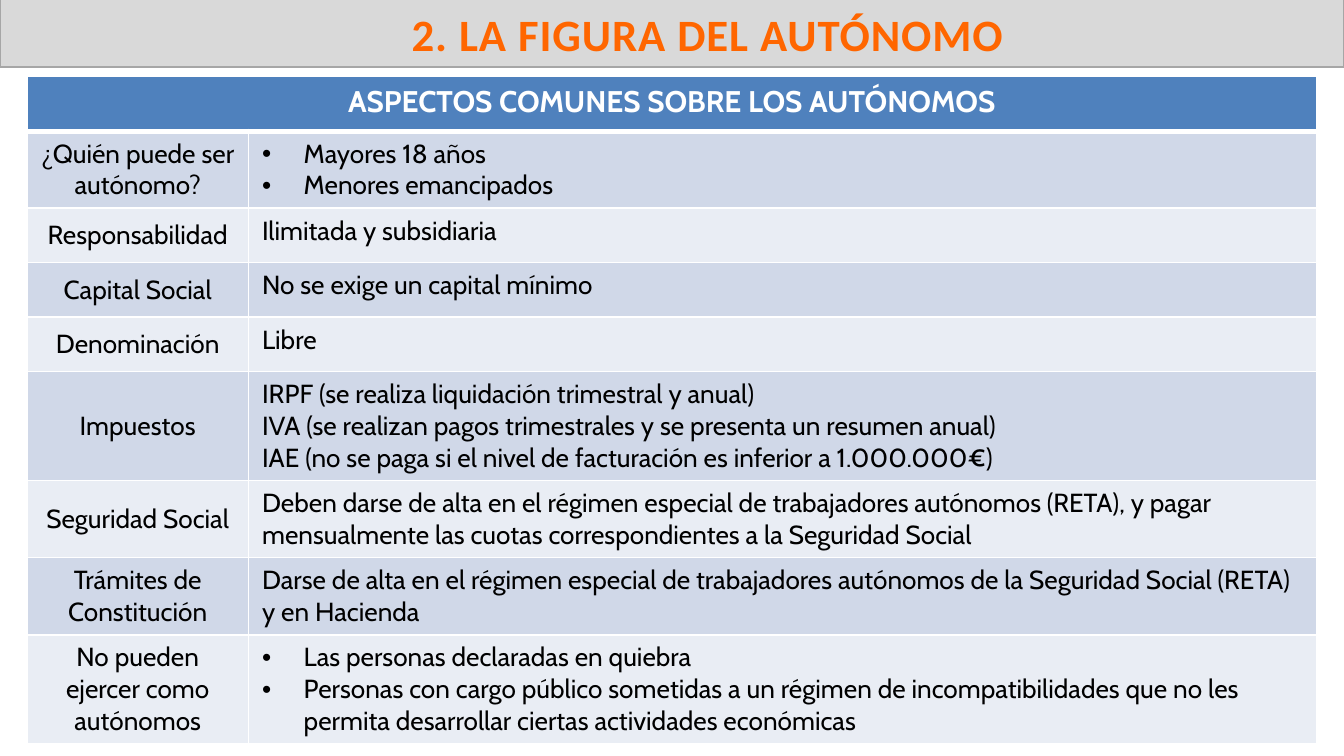
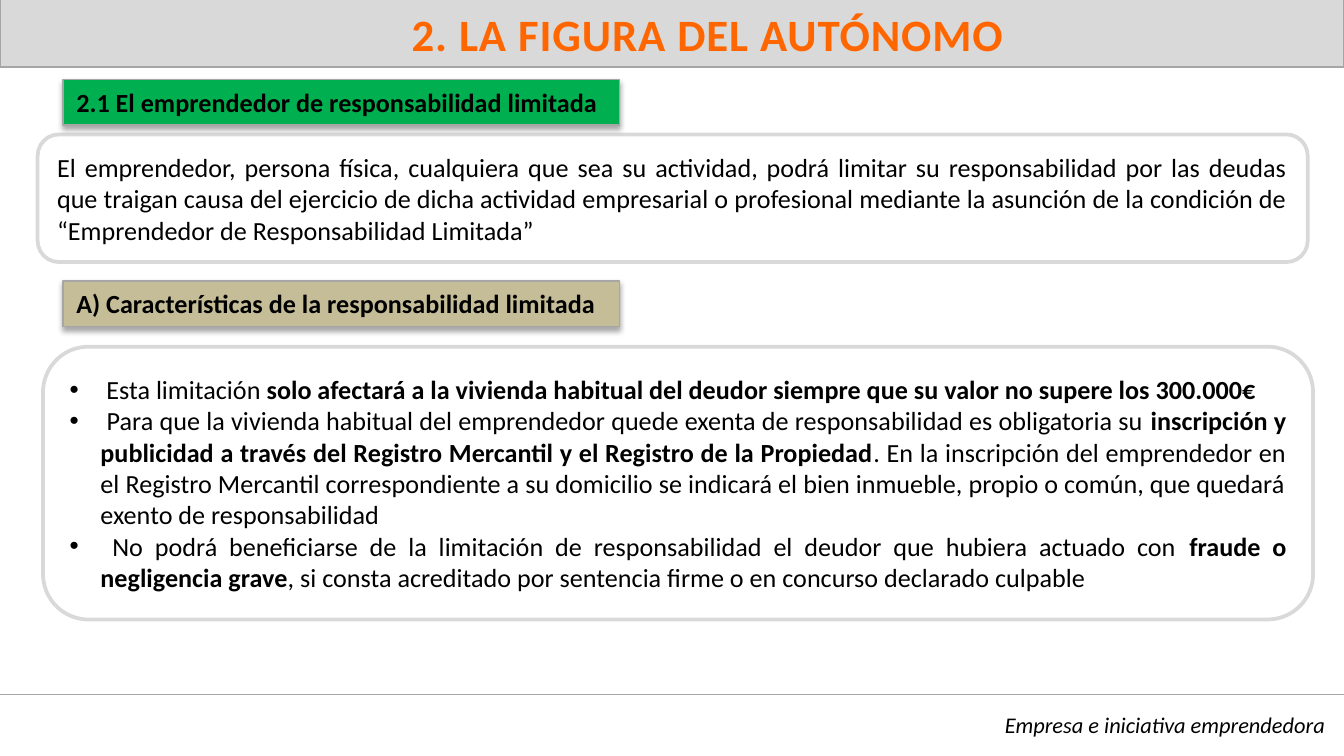
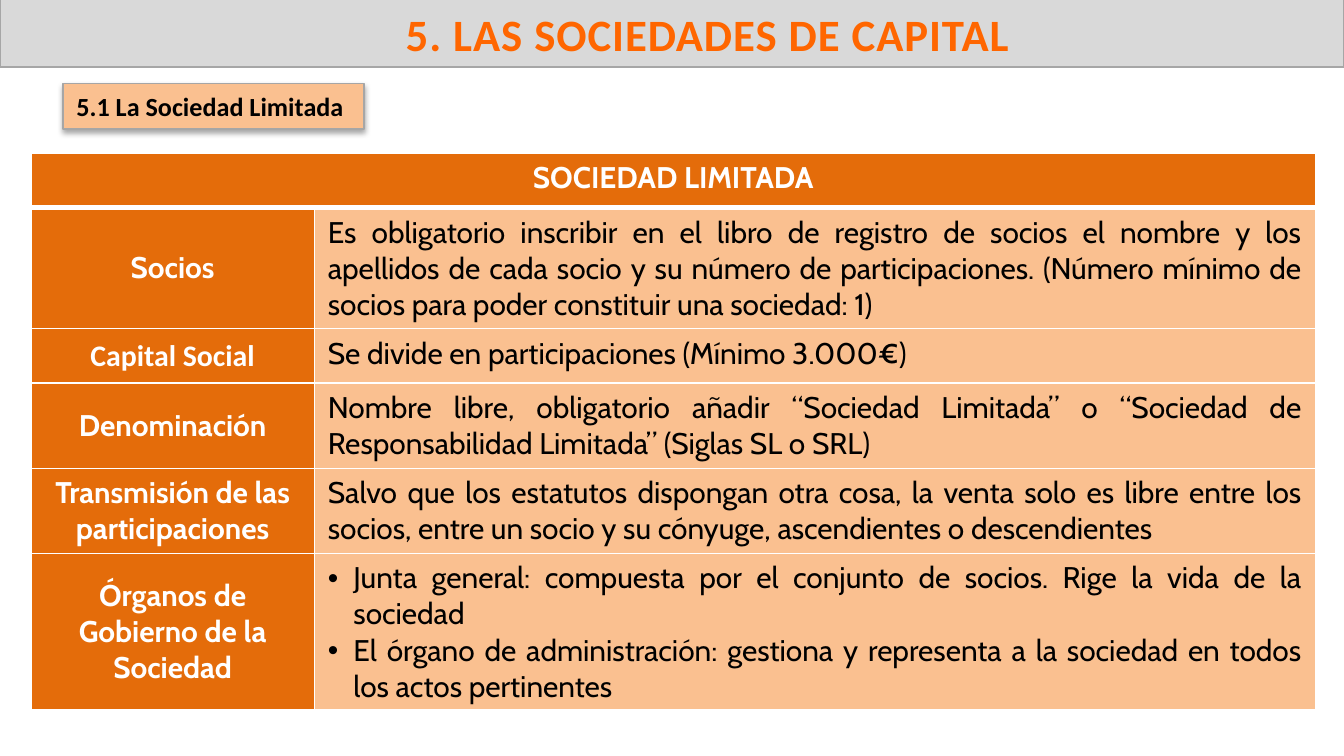
import pptx
import pptx.util
import pptx.dml.color
import pptx.enum.text
import pptx.enum.shapes
import pptx.oxml
import pptx.oxml.ns

Inches, Pt = pptx.util.Inches, pptx.util.Pt
ALIGN, ANCHOR = pptx.enum.text.PP_ALIGN, pptx.enum.text.MSO_ANCHOR
AUTO_SIZE = pptx.enum.text.MSO_AUTO_SIZE
SHAPE = pptx.enum.shapes.MSO_SHAPE

COLORS = {
    "band": "D9D9D9", "edge": "A6A6A6", "title": "FF6600", "outline": "101A26",
    "black": "000000", "white": "FFFFFF", "green": "00B050", "tan": "C4BD97",
    "peach": "FAC090", "orange": "E46C0A", "blue": "4F81BD",
    "blue_mid": "D0D8E8", "blue_pale": "E9EDF4",
}
SLIDE_WIDTH = 10
SLIDE_HEIGHT = SLIDE_WIDTH * 9 / 16
ROW_HEIGHT = Pt(29.2)  # minimum: rows grow with their text
BODY = {"size": Pt(14), "name": "Calibri", "color": "black"}

# Content. Text between asterisks is bold; a leading bullet marks a list item.
SELF_EMPLOYED = "2. LA FIGURA DEL AUTÓNOMO"
COMPANIES = "5. LAS SOCIEDADES DE CAPITAL"
FOOTER = "Empresa e iniciativa emprendedora"

SELF_EMPLOYED_TABLE = {
    "box": (0.2, 0.57, 9.61, 4.92), "columns": (1.65, 7.95), "indent": 0.31,
    "header": "ASPECTOS COMUNES SOBRE LOS AUTÓNOMOS", "header_fill": "blue",
    "label_fills": ("blue_mid", "blue_pale"), "text_fills": ("blue_mid", "blue_pale"),
    "label_font": {"size": Pt(14), "name": "Cabin", "color": "black", "bold": False},
    "text_font": {"size": Pt(14), "name": "Cabin", "color": "black", "bold": False},
    "align": ALIGN.LEFT,
    "rows": [
        ("¿Quién puede ser autónomo?", ["•Mayores 18 años", "•Menores emancipados"]),
        ("Responsabilidad", ["Ilimitada y subsidiaria"]),
        ("Capital Social", ["No se exige un capital mínimo"]),
        ("Denominación", ["Libre"]),
        ("Impuestos", [
            "IRPF (se realiza liquidación trimestral y anual)",
            "IVA (se realizan pagos trimestrales y se presenta un resumen anual)",
            "IAE (no se paga si el nivel de facturación es inferior a 1.000.000€)"]),
        ("Seguridad Social", [
            "Deben darse de alta en el régimen especial de trabajadores autónomos (RETA), "
            "y pagar mensualmente las cuotas correspondientes a la Seguridad Social"]),
        ("Trámites de Constitución", [
            "Darse de alta en el régimen especial de trabajadores autónomos "
            "de la Seguridad Social (RETA) y en Hacienda"]),
        ("No pueden ejercer como autónomos", [
            "•Las personas declaradas en quiebra",
            "•Personas con cargo público sometidas a un régimen de incompatibilidades "
            "que no les permita desarrollar ciertas actividades económicas"]),
    ],
}

LIMITED_COMPANY_TABLE = {
    "box": (0.23, 1.14, 9.56, 4.14), "columns": (2.11, 7.45), "indent": 0.19,
    "header": "SOCIEDAD LIMITADA", "header_fill": "orange",
    "label_fills": ("orange",), "text_fills": ("peach",),
    "label_font": {"size": Pt(16), "name": "Cabin", "color": "white", "bold": True},
    "text_font": {"size": Pt(16), "name": "Cabin", "color": "black", "bold": False},
    "label_typefaces": {"Capital Social": "Calibri"},
    "align": ALIGN.JUSTIFY,
    "rows": [
        ("Socios", [
            "Es obligatorio inscribir en el libro de registro de socios el nombre y los "
            "apellidos de cada socio y su número de participaciones. (Número mínimo de "
            "socios para poder constituir una sociedad: 1)"]),
        ("Capital Social", ["Se divide en participaciones (Mínimo 3.000€)"]),
        ("Denominación", [
            "Nombre libre, obligatorio añadir “Sociedad Limitada” o “Sociedad de "
            "Responsabilidad Limitada” (Siglas SL o SRL)"]),
        ("Transmisión de las participaciones", [
            "Salvo que los estatutos dispongan otra cosa, la venta solo es libre entre los "
            "socios, entre un socio y su cónyuge, ascendientes o descendientes"]),
        ("Órganos de Gobierno de la Sociedad", [
            "•Junta general: compuesta por el conjunto de socios. Rige la vida de la sociedad",
            "•El órgano de administración: gestiona y representa a la sociedad en todos "
            "los actos pertinentes"]),
    ],
}

LIMITED_LIABILITY_PANELS = [
    ((0.28, 1, 9.45, 0.95), [
        "El emprendedor, persona física, cualquiera que sea su actividad, podrá limitar su "
        "responsabilidad por las deudas que traigan causa del ejercicio de dicha actividad "
        "empresarial o profesional mediante la asunción de la condición de “Emprendedor de "
        "Responsabilidad Limitada”"]),
    ((0.32, 2.58, 9.45, 2.03), [
        "• Esta limitación *solo afectará a la vivienda habitual del deudor siempre que su "
        "valor no supere los 300.000€*",
        "• Para que la vivienda habitual del emprendedor quede exenta de responsabilidad es "
        "obligatoria su *inscripción y publicidad a través del Registro Mercantil y el "
        "Registro de la Propiedad*. En la inscripción del emprendedor en el Registro Mercantil "
        "correspondiente a su domicilio se indicará el bien inmueble, propio o común, que "
        "quedará exento de responsabilidad",
        "• No podrá beneficiarse de la limitación de responsabilidad el deudor que hubiera "
        "actuado con *fraude o negligencia grave*, si consta acreditado por sentencia firme o "
        "en concurso declarado culpable"]),
]
LIMITED_LIABILITY_LABELS = [
    ("2.1 El emprendedor de responsabilidad limitada", (0.47, 0.59, 4.14, 0.34), "green"),
    ("A) Características de la responsabilidad limitada", (0.47, 2.09, 4.14, 0.34), "tan"),
]
LIMITED_COMPANY_LABEL = ("5.1 La Sociedad Limitada", (0.47, 0.62, 2.24, 0.34), "peach")


def rgb(name):
    """Return the named colour."""
    return pptx.dml.color.RGBColor.from_string(COLORS[name])


def box_lengths(box):
    """Turn a box in inches into lengths."""
    return [Inches(value) for value in box]


def element(tag, parent, **attributes):
    """Append a drawing element to its parent."""
    child = pptx.oxml.parse_xml(f"<a:{tag} {pptx.oxml.ns.nsdecls('a')}/>")
    for key, value in attributes.items():
        child.set(key, str(value))
    parent.append(child)
    return child


def apply(target, values):
    """Set every attribute of a dict on the target."""
    for key, value in values.items():
        setattr(target, key, value)


def paint(shape, fill=None, line="edge", width=0.75):
    """Give a shape its fill and outline, without shadow."""
    if fill:
        shape.fill.solid()
        shape.fill.fore_color.rgb = rgb(fill)
    else:
        shape.fill.background()
    shape.line.color.rgb = rgb(line)
    shape.line.width = Pt(width)
    shape.shadow.inherit = False


def add_bullet(paragraph, indent):
    """Make a paragraph a list item with a hanging indent."""
    properties = paragraph._p.get_or_add_pPr()
    properties.set("marL", str(Inches(indent)))
    properties.set("indent", str(-Inches(indent)))
    element("buFont", properties, typeface="Arial")
    element("buChar", properties, char="•")


def write(frame, texts, font, align=ALIGN.LEFT, indent=0.23):
    """Write paragraphs, with bold parts and bullets as marked."""
    frame.word_wrap = True
    values = {key: value for key, value in font.items() if key != "color"}
    for index, text in enumerate(texts):
        paragraph = frame.add_paragraph() if index else frame.paragraphs[0]
        paragraph.alignment = align
        if text.startswith("•"):
            add_bullet(paragraph, indent)
        for part, words in enumerate(text.lstrip("•").split("*")):
            if words:
                run = paragraph.add_run()
                run.text = words
                apply(run.font, values)
                run.font.color.rgb = rgb(font["color"])
                if part % 2:
                    run.font.bold = True


def add_titled_slide(presentation, text):
    """Add a slide with its title band."""
    slide = presentation.slides.add_slide(presentation.slide_layouts[5])
    title = slide.shapes.title
    title.left, title.top, title.width, title.height = box_lengths((0, -0.01, SLIDE_WIDTH, 0.51))
    paint(title, "band")
    font = {"size": Pt(24), "name": "Calibri", "color": "title", "bold": True}
    write(title.text_frame, [text], font, ALIGN.CENTER)
    apply(title.text_frame, {"vertical_anchor": ANCHOR.BOTTOM, "auto_size": AUTO_SIZE.NONE})
    paragraph = title.text_frame.paragraphs[0]
    paragraph._p.get_or_add_pPr().set("marL", str(Inches(0.53)))
    properties = paragraph.runs[0]._r.get_or_add_rPr()
    properties.set("spc", "50")
    outline = element("ln", properties, w=Pt(1.06))
    color = element("srgbClr", element("solidFill", outline), val=COLORS["outline"])
    element("alpha", color, val=6000)
    properties.insert(0, outline)
    return slide


def add_label(slide, text, box, fill):
    """Add a section label with a soft shadow below."""
    label = slide.shapes.add_shape(SHAPE.RECTANGLE, *box_lengths(box))
    paint(label, fill)
    effects = label._element.spPr.find(pptx.oxml.ns.qn("a:effectLst"))
    shadow = element("outerShdw", effects, blurRad=Pt(3.1), dist=Pt(1.8),
                     dir=5400000, rotWithShape=0)
    element("alpha", element("srgbClr", shadow, val=COLORS["black"]), val=35000)
    write(label.text_frame, [text], {**BODY, "bold": True})
    apply(label.text_frame, {"vertical_anchor": ANCHOR.TOP,
                             "auto_size": AUTO_SIZE.SHAPE_TO_FIT_TEXT})


def add_panel(slide, box, texts):
    """Add a rounded panel of justified text."""
    panel = slide.shapes.add_shape(SHAPE.ROUNDED_RECTANGLE, *box_lengths(box))
    paint(panel, line="band", width=2)
    write(panel.text_frame, texts, BODY, ALIGN.JUSTIFY)
    panel.text_frame.vertical_anchor = ANCHOR.MIDDLE


def add_footer(slide):
    """Add the footer rule and its text."""
    rule = slide.shapes.add_connector(pptx.enum.shapes.MSO_CONNECTOR.STRAIGHT,
                                      *box_lengths((0, 5.17, SLIDE_WIDTH, 5.17)))
    rule.line.color.rgb = rgb("edge")
    rule.line.width = Pt(0.75)
    element("effectLst", rule._element.spPr)
    footer = slide.shapes.add_textbox(*box_lengths((0.9, 5.24, 9.06, 0.3)))
    write(footer.text_frame, [FOOTER], {**BODY, "size": Pt(12), "italic": True}, ALIGN.RIGHT)
    footer.text_frame.auto_size = AUTO_SIZE.SHAPE_TO_FIT_TEXT


def style_cell(cell, fill, top=1, bottom=1):
    """Give a cell white borders and a fill."""
    properties = cell._tc.get_or_add_tcPr()
    for side, width in (("L", 1), ("R", 1), ("T", top), ("B", bottom)):
        border = element(f"ln{side}", properties, w=Pt(width))
        element("srgbClr", element("solidFill", border), val=COLORS["white"])
    cell.fill.solid()
    cell.fill.fore_color.rgb = rgb(fill)


def add_grid(slide, data):
    """Add a table with a merged header and one labelled row per entry."""
    graphic = slide.shapes.add_table(len(data["rows"]) + 1, 2, *box_lengths(data["box"]))
    table = graphic.table
    for column, width in zip(table.columns, data["columns"]):
        column.width = Inches(width)
    for row in table.rows:
        row.height = ROW_HEIGHT
    graphic.height = Inches(data["box"][3])

    header = table.cell(0, 0)
    header.merge(table.cell(0, 1))
    for column in range(2):
        style_cell(table.cell(0, column), data["header_fill"], bottom=3)
    header_font = {"size": Pt(16), "name": "Cabin", "color": "white", "bold": True}
    write(header.text_frame, [data["header"]], header_font, ALIGN.CENTER)

    typefaces = data.get("label_typefaces", {})
    for index, (label, texts) in enumerate(data["rows"]):
        label_cell, text_cell = table.cell(index + 1, 0), table.cell(index + 1, 1)
        for cell, fills in ((label_cell, data["label_fills"]), (text_cell, data["text_fills"])):
            style_cell(cell, fills[index % len(fills)], top=1 if index else 3)
        label_font = {**data["label_font"], "name": typefaces.get(label, "Cabin")}
        write(label_cell.text_frame, [label], label_font, ALIGN.CENTER)
        label_cell.vertical_anchor = ANCHOR.MIDDLE
        write(text_cell.text_frame, texts, data["text_font"], data["align"], data["indent"])


def build():
    """Build and save the three slides."""
    presentation = pptx.Presentation()
    presentation.slide_width = Inches(SLIDE_WIDTH)
    presentation.slide_height = Inches(SLIDE_HEIGHT)

    add_grid(add_titled_slide(presentation, SELF_EMPLOYED), SELF_EMPLOYED_TABLE)

    slide = add_titled_slide(presentation, SELF_EMPLOYED)
    for box, texts in LIMITED_LIABILITY_PANELS:
        add_panel(slide, box, texts)
    for label in LIMITED_LIABILITY_LABELS:
        add_label(slide, *label)
    add_footer(slide)

    slide = add_titled_slide(presentation, COMPANIES)
    add_label(slide, *LIMITED_COMPANY_LABEL)
    add_grid(slide, LIMITED_COMPANY_TABLE)

    presentation.save("out.pptx")


build()
